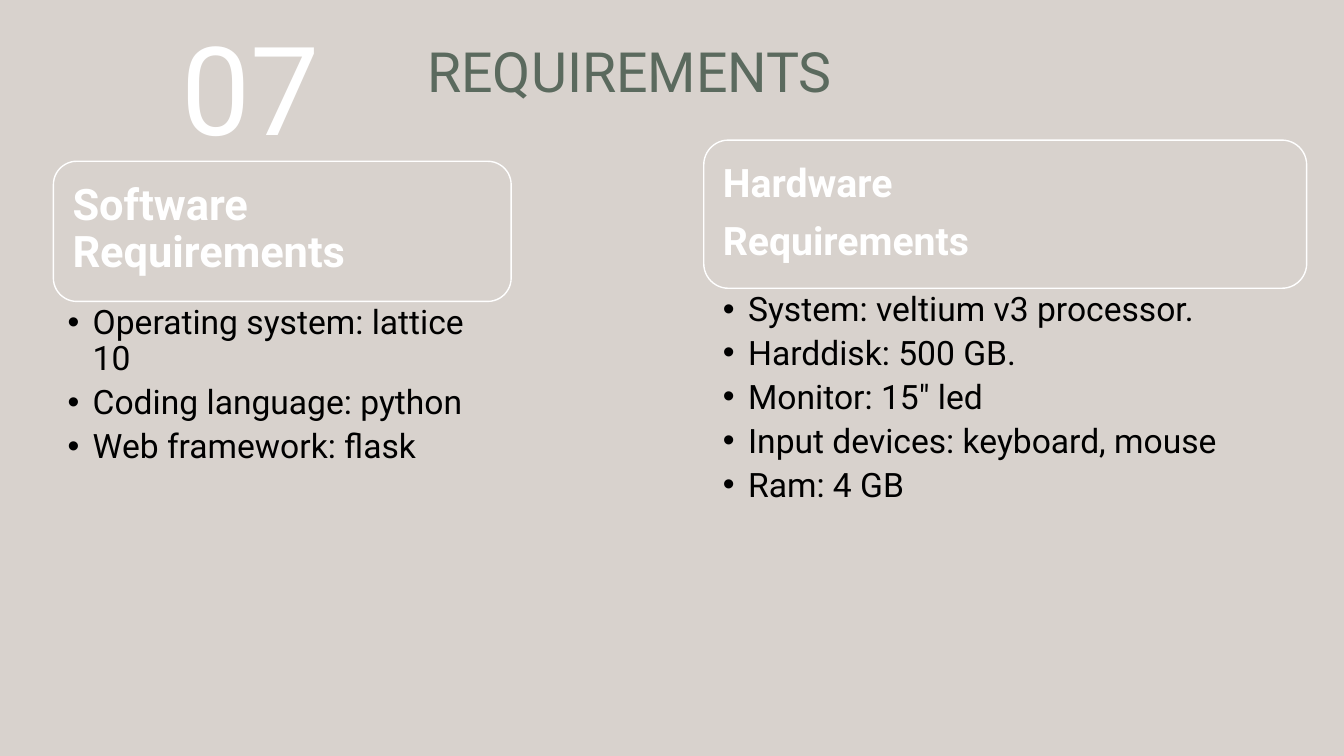
"""Build the requirements slide with a software and a hardware panel."""
from lxml.etree import SubElement
from pptx import Presentation
from pptx.dml.color import RGBColor
from pptx.enum.shapes import MSO_SHAPE as Shape
from pptx.enum.text import MSO_ANCHOR as Anchor
from pptx.oxml.ns import qn
from pptx.util import Inches, Pt

FONT = "Roboto"
SAND, WHITE, GREEN, BLACK = "D8D2CD", "FFFFFF", "5B6A5E", "000000"

PANELS = [
    {
        "frame": (0.53, 1.6, 4.54, 1.39),
        "head": ["Software Requirements"],
        "head_at": (0.59, 1.66, 4.4, 1.25),
        "size": 31,
        "pad": 0.13,
        "left": 0.14,
        "deep": 2.18,
        "items": [
            "Operating system: lattice 10",
            "Coding language: python",
            "Web framework: flask",
        ],
    },
    {
        "frame": (6.98, 1.39, 5.98, 1.47),
        "head": ["Hardware", "Requirements"],
        "head_at": (7.05, 1.46, 5.83, 1.32),
        "size": 28,
        "pad": 0.12,
        "left": 0.19,
        "deep": 2.39,
        "items": [
            "System: veltium v3 processor.",
            "Harddisk: 500 GB.",
            'Monitor: 15" led',
            "Input devices: keyboard, mouse",
            "Ram: 4 GB",
        ],
    },
]


def color(code):
    return RGBColor.from_string(code)


def bullet(para):
    props = para._p.get_or_add_pPr()
    props.set("marL", str(Inches(0.25)))
    props.set("indent", str(-Inches(0.25)))
    SubElement(props, qn("a:buFont")).set("typeface", "Arial")
    SubElement(props, qn("a:buChar")).set("char", "•")


def add_text(slide, at, lines, size, tint, pads=(0.1, 0.05, 0.1, 0.05),
             anchor=Anchor.TOP, after=0, bold=False, dots=False):
    frame = slide.shapes.add_textbox(*map(Inches, at)).text_frame
    frame.word_wrap = True
    frame.vertical_anchor = anchor
    (frame.margin_left, frame.margin_top,
     frame.margin_right, frame.margin_bottom) = map(Inches, pads)
    for i, line in enumerate(lines):
        para = frame.add_paragraph() if i else frame.paragraphs[0]
        para.text = line
        para.line_spacing = 0.9
        para.space_after = Pt(after)
        if dots:
            bullet(para)
        font = para.font
        font.name, font.size, font.bold = FONT, Pt(size), bold
        font.color.rgb = color(tint)


def add_panel(slide, panel):
    left, top, wide, high = panel["frame"]
    box = slide.shapes.add_shape(
        Shape.ROUNDED_RECTANGLE, *map(Inches, panel["frame"]))
    box.shadow.inherit = False
    box.fill.solid()
    box.fill.fore_color.rgb = color(SAND)
    box.line.color.rgb = color(WHITE)
    box.line.width = Pt(1)
    add_text(slide, panel["head_at"], panel["head"], panel["size"], WHITE,
             (panel["pad"],) * 4, Anchor.MIDDLE, after=11, bold=True)
    add_text(slide, (left, top + high, wide, panel["deep"]), panel["items"],
             24, BLACK, (panel["left"], 0.04, 0.24, 0.04), after=5.5,
             dots=True)


def main():
    deck = Presentation()
    deck.slide_width, deck.slide_height = Inches(13.33), Inches(7.5)
    slide = deck.slides.add_slide(deck.slide_layouts[6])
    slide.background.fill.solid()
    slide.background.fill.fore_color.rgb = color(SAND)
    add_text(slide, (1.7, 0.24, 2.6, 1.22), ["07"], 88, WHITE)
    add_text(slide, (4.14, 0.38, 7.3, 0.72), ["REQUIREMENTS"], 39.6, GREEN,
             anchor=Anchor.MIDDLE)
    for panel in PANELS:
        add_panel(slide, panel)
    deck.save("out.pptx")


if __name__ == "__main__":
    main()
